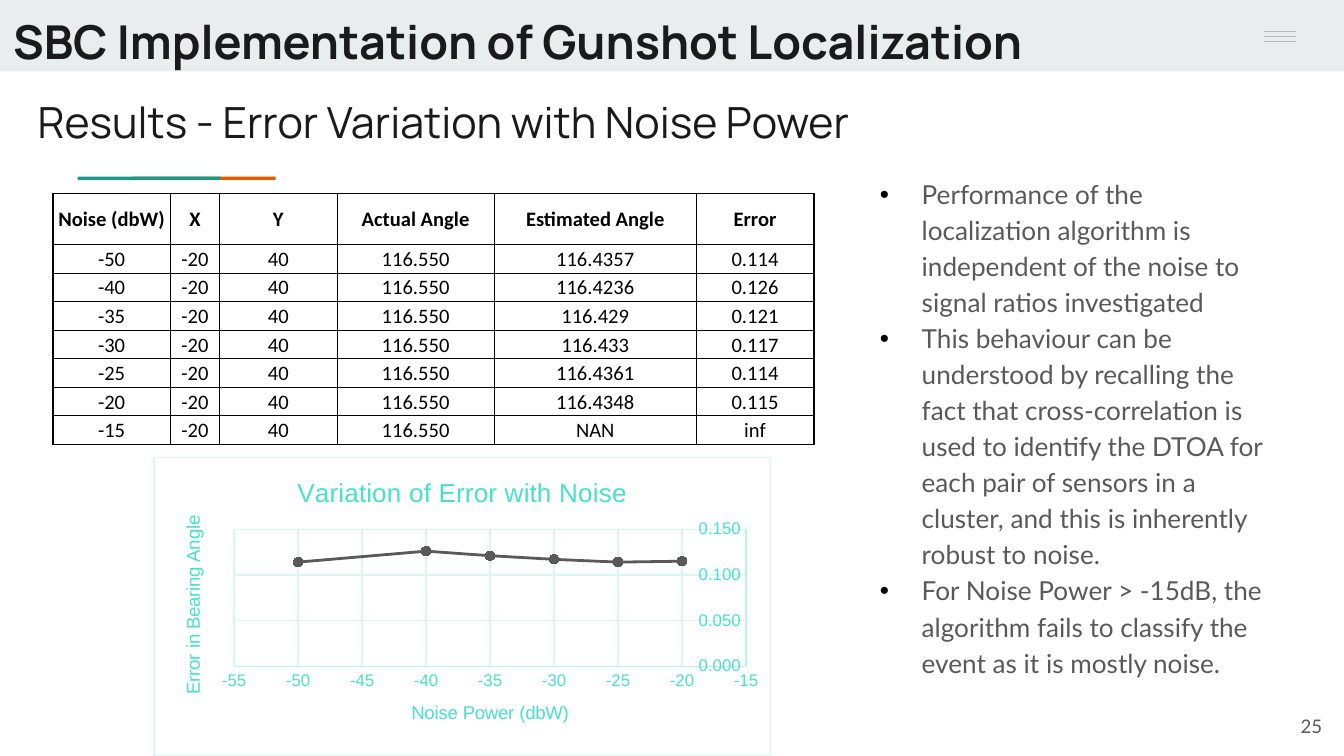
"""Build the slide on error variation with noise power."""
import lxml.etree
import pptx
import pptx.chart.data
import pptx.dml.color
import pptx.enum.chart
import pptx.enum.shapes
import pptx.enum.text
import pptx.oxml.ns
import pptx.util

Cm = pptx.util.Cm
Pt = pptx.util.Pt
RGBColor = pptx.dml.color.RGBColor
Align = pptx.enum.text.PP_ALIGN
Anchor = pptx.enum.text.MSO_ANCHOR
qn = pptx.oxml.ns.qn

BAND = RGBColor(0xE9, 0xED, 0xEE)
ORANGE = RGBColor(0xEB, 0x56, 0x00)
TEAL = RGBColor(0x1A, 0x99, 0x88)
MENU = RGBColor(0xB7, 0xB7, 0xB7)
INK = RGBColor(0x1A, 0x1A, 0x1A)
BODY = RGBColor(0x59, 0x59, 0x59)
BLACK = RGBColor(0x00, 0x00, 0x00)
WHITE = RGBColor(0xFF, 0xFF, 0xFF)
MINT = RGBColor(0x47, 0xE0, 0xCB)
AXIS = RGBColor(0xB8, 0xF3, 0xEB)
GRID = RGBColor(0xD5, 0xF8, 0xF3)


def add_xml(parent, tag, **attributes):
    """Append a child element to parent and return it."""
    return lxml.etree.SubElement(parent, qn(tag), attributes)


class SlideBuilder:
    """Hold the style and the current slide."""

    heading_font = "Manrope"
    body_font = "Lato"
    table_font = "Calibri"
    chart_font = "Arial"

    def __init__(self, deck):
        """Add a title-only page to the deck."""
        self.page = deck.slides.add_slide(deck.slide_layouts[5])
        self.shapes = self.page.shapes

    def style(self, font, name, size, color, bold=False):
        """Set the look of a font."""
        font.name, font.size, font.bold = name, Pt(size), bold
        font.color.rgb = color

    def span(self, para, text, name, size, color, bold=False):
        """Add one styled run."""
        span = para.add_run()
        span.text = text
        self.style(span.font, name, size, color, bold)

    def frame(self, shape, place, anchor):
        """Place a text shape and return its prepared text frame."""
        shape.left, shape.top, shape.width, shape.height = map(Cm, place)
        frame = shape.text_frame
        frame.word_wrap = True
        frame.auto_size = pptx.enum.text.MSO_AUTO_SIZE.NONE
        frame.vertical_anchor = anchor
        frame.margin_left = frame.margin_right = Cm(0.25)
        frame.margin_top = frame.margin_bottom = Cm(0.25)
        return frame

    def title(self, text, place):
        """Fill the title placeholder."""
        para = self.frame(self.shapes.title, place, Anchor.TOP).paragraphs[0]
        para.alignment = Align.LEFT
        self.span(para, text, self.heading_font, 25, INK, True)

    def text(self, text, place, name, size, color, align=Align.LEFT, anchor=Anchor.TOP):
        """Add a one-paragraph text box."""
        box = self.shapes.add_textbox(*map(Cm, place))
        para = self.frame(box, place, anchor).paragraphs[0]
        para.alignment = align
        self.span(para, text, name, size, color)

    def bullets(self, items, place):
        """Add a bulleted text box."""
        box = self.shapes.add_textbox(*map(Cm, place))
        frame = self.frame(box, place, Anchor.MIDDLE)
        for index, item in enumerate(items):
            para = frame.paragraphs[0] if index == 0 else frame.add_paragraph()
            para.line_spacing = 1.15
            properties = para._p.get_or_add_pPr()
            properties.set("marL", str(Cm(0.79)))
            properties.set("indent", str(-Cm(0.79)))
            add_xml(add_xml(properties, "a:buClr"), "a:srgbClr", val=str(BLACK))
            add_xml(properties, "a:buFont", typeface="Arial")
            add_xml(properties, "a:buChar", char="•")
            self.span(para, item, self.body_font, 14, BODY)

    def bar(self, place, color):
        """Add a filled rectangle without outline, behind later elements."""
        kind = pptx.enum.shapes.MSO_SHAPE.RECTANGLE
        bar = self.shapes.add_shape(kind, *map(Cm, place))
        bar.shadow.inherit = False
        bar.fill.solid()
        bar.fill.fore_color.rgb = color
        bar.line.fill.background()
        self.shapes._spTree.remove(bar._element)
        self.shapes._spTree.insert_element_before(bar._element, *["p:sp"])
        title = self.shapes.title._element
        title.addprevious(bar._element)

    def rule(self, left, right, y):
        """Add a thin horizontal line."""
        kind = pptx.enum.shapes.MSO_CONNECTOR.STRAIGHT
        rule = self.shapes.add_connector(kind, Cm(left), Cm(y), Cm(right), Cm(y))
        rule.line.color.rgb = MENU
        rule.line.width = Pt(0.75)
        add_xml(rule._element.spPr, "a:effectLst")

    def table(self, rows, place, widths, heights):
        """Add a ruled table with a heavier outer edge."""
        last_row, last_column = len(rows) - 1, len(widths) - 1
        table = self.shapes.add_table(len(rows), len(widths), *map(Cm, place)).table
        table.first_row = table.horz_banding = False
        for column, width in zip(table.columns, widths):
            column.width = Cm(width)
        for r, row in enumerate(rows):
            table.rows[r].height = Cm(heights[r])
            for c, text in enumerate(row):
                cell = table.cell(r, c)
                cell.vertical_anchor = Anchor.MIDDLE
                cell.margin_left = cell.margin_right = cell.margin_top = Cm(0.02)
                cell.margin_bottom = Cm(0)
                outer = {"L": c == 0, "R": c == last_column, "T": r == 0, "B": r == last_row}
                for side, edge in outer.items():
                    width = str(Pt(1 if edge else 0.5))
                    line = add_xml(cell._tc.get_or_add_tcPr(), f"a:ln{side}", w=width)
                    add_xml(add_xml(line, "a:solidFill"), "a:srgbClr", val=str(BLACK))
                cell.fill.background()
                para = cell.text_frame.paragraphs[0]
                para.alignment = Align.CENTER
                self.span(para, text, self.table_font, 11, BLACK, r == 0)

    def axis(self, axis, title, low, high, step, number_format):
        """Format one chart axis."""
        axis.minimum_scale, axis.maximum_scale, axis.major_unit = low, high, step
        axis.major_tick_mark = axis.minor_tick_mark = pptx.enum.chart.XL_TICK_MARK.NONE
        axis.has_major_gridlines = True
        for line, color in ((axis.format.line, AXIS), (axis.major_gridlines.format.line, GRID)):
            line.color.rgb = color
            line.width = Pt(0.75)
        axis.tick_labels.number_format = number_format
        axis.tick_labels.number_format_is_linked = False
        self.style(axis.tick_labels.font, self.chart_font, 9, MINT)
        para = axis.axis_title.text_frame.paragraphs[0]
        self.span(para, title, self.chart_font, 10, MINT)

    def scatter(self, title, points, place, plot):
        """Add a scatter chart with lines and markers and return it."""
        data = pptx.chart.data.XyChartData()
        series = data.add_series("Series 1")
        for x, y in points:
            series.add_data_point(x, y)
        kind = pptx.enum.chart.XL_CHART_TYPE.XY_SCATTER_LINES
        chart = self.shapes.add_chart(kind, *map(Cm, place), data).chart
        self.style(chart.font, self.chart_font, 10, TEAL)
        chart.has_legend = False
        chart.has_title = True
        para = chart.chart_title.text_frame.paragraphs[0]
        self.span(para, title, self.chart_font, 14, MINT)
        chart.plots[0].vary_by_categories = False
        line = chart.plots[0].series[0]
        line.smooth = False
        line.format.line.color.rgb = BODY
        line.format.line.width = Pt(1.5)
        line.marker.style = pptx.enum.chart.XL_MARKER_STYLE.CIRCLE
        line.marker.size = 5
        line.marker.format.fill.solid()
        line.marker.format.fill.fore_color.rgb = BODY
        line.marker.format.line.color.rgb = BODY
        area = chart._chartSpace.chart.plotArea
        for old in area.findall(qn("c:layout")):
            area.remove(old)
        layout = lxml.etree.Element(qn("c:layout"))
        area.insert(0, layout)
        manual = add_xml(layout, "c:manualLayout")
        add_xml(manual, "c:layoutTarget", val="inner")
        for name in ("xMode", "yMode"):
            add_xml(manual, f"c:{name}", val="edge")
        for name, value in zip("xywh", plot):
            add_xml(manual, f"c:{name}", val=str(value))
        look = lxml.etree.Element(qn("c:spPr"))
        chart._chartSpace.chart.addnext(look)
        add_xml(add_xml(look, "a:solidFill"), "a:srgbClr", val=str(WHITE))
        border = add_xml(look, "a:ln", w=str(Pt(0.75)))
        add_xml(add_xml(border, "a:solidFill"), "a:srgbClr", val=str(GRID))
        return chart


def main():
    """Build and save the deck."""
    deck = pptx.Presentation()
    deck.slide_width, deck.slide_height = Cm(25.4), Cm(14.29)
    slide = SlideBuilder(deck)
    slide.bar((0, 0, 25.4, 1.35), BAND)
    slide.bar((2.51, 3.34, 2.7, 0.06), ORANGE)
    slide.bar((1.47, 3.34, 2.7, 0.06), TEAL)
    for index in range(3):
        slide.rule(23.88, 24.49, 0.6 + 0.09 * index)
    slide.title("SBC Implementation of Gunshot Localization", (0, 0, 25.4, 1.5))
    slide.text("Results - Error Variation with Noise Power", (0.46, 1.55, 21.36, 1.5),
               slide.heading_font, 23, INK)
    slide.bullets([
        "Performance of the localization algorithm is independent of the noise to signal ratios investigated",
        "This behaviour can be understood by recalling the fact that cross-correlation is used to identify "
        "the DTOA for each pair of sensors in a cluster, and this is inherently robust to noise.",
        "For Noise Power > -15dB, the algorithm fails to classify the event as it is mostly noise.",
    ], (16.38, 2.44, 8, 11.23))
    results = [("-50", "116.4357", "0.114"), ("-40", "116.4236", "0.126"),
               ("-35", "116.429", "0.121"), ("-30", "116.433", "0.117"),
               ("-25", "116.4361", "0.114"), ("-20", "116.4348", "0.115"),
               ("-15", "NAN", "inf")]
    rows = [("Noise (dbW)", "X", "Y", "Actual Angle", "Estimated Angle", "Error")]
    rows += [(noise, "-20", "40", "116.550", angle, error) for noise, angle, error in results]
    slide.table(rows, (1, 3.66, 14.38, 4.74), [2.22, 0.93, 2.22, 2.97, 3.82, 2.22],
                [0.96] + [0.54] * len(results))
    points = [(int(noise), float(error)) for noise, _, error in results[:-1]]
    chart = slide.scatter("Variation of Error with Noise", points,
                          (2.9, 8.64, 11.68, 5.66), (0.13, 0.24, 0.83, 0.46))
    slide.axis(chart.category_axis, "Noise Power (dbW)", -55, -15, 5, "General")
    slide.axis(chart.value_axis, "Error in Bearing Angle", 0, 0.15, 0.05, "0.000")
    slide.text("25", (23.72, 13.18, 1.52, 1.09), slide.body_font, 10, BODY,
               Align.RIGHT, Anchor.MIDDLE)
    deck.save("out.pptx")


if __name__ == "__main__":
    main()
